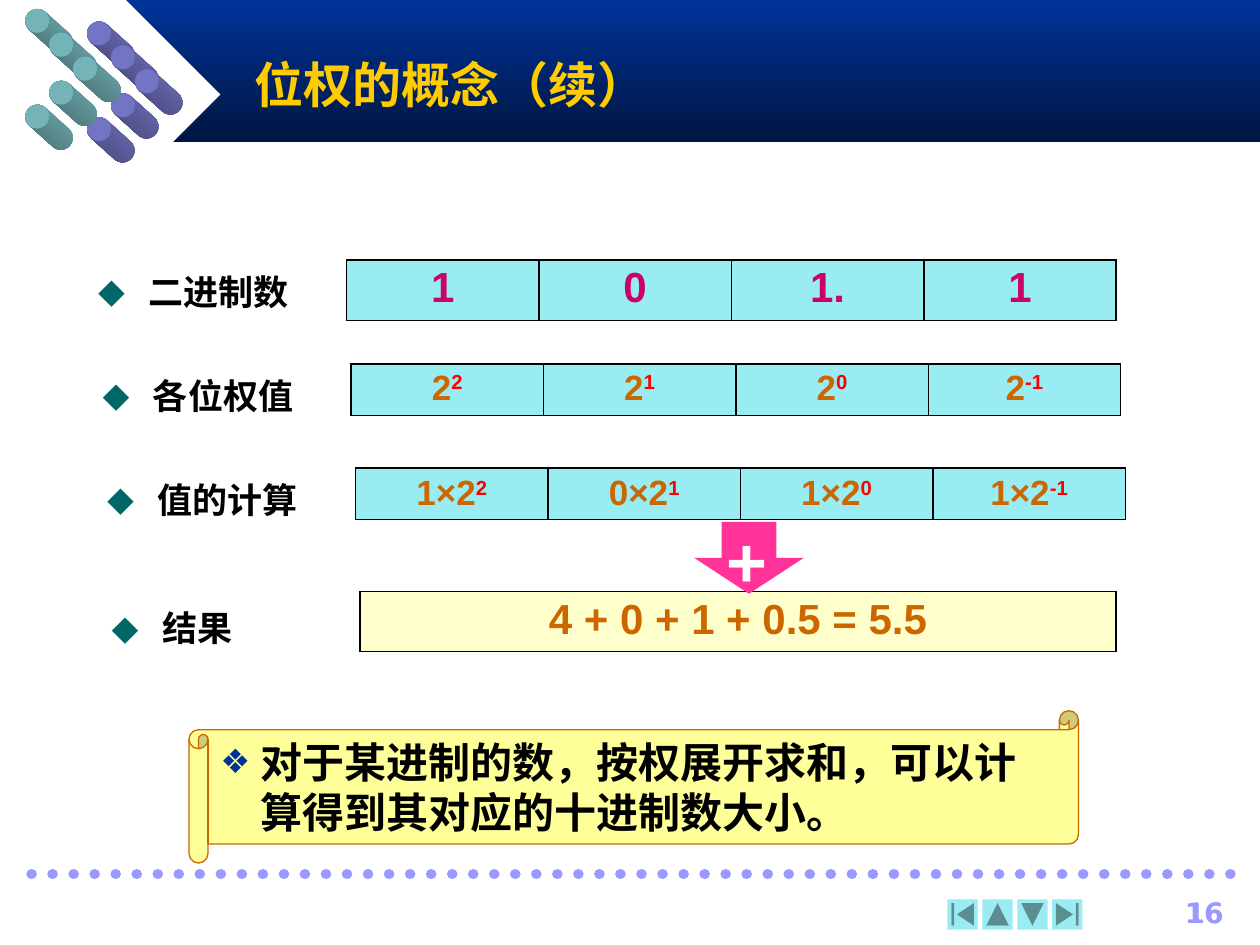
from lxml import etree
from pptx import Presentation
from pptx import util as u
from pptx.dml.color import RGBColor
from pptx.enum import dml, shapes, text
from pptx.oxml import ns

WIDTH, HEIGHT = 10, 7.5
AQUA, LILAC, ORANGE, RED = "98ECF2", "9999FF", "CC6600", "FF0000"
SHAPE = shapes.MSO_SHAPE


def colour(value):
    return RGBColor.from_string(value)


def element(parent, tag, **attributes):
    return etree.SubElement(parent, ns.qn(tag), attributes)


def add_figure(page, kind, left, top, width, height, fill, line=None, rotation=0):
    """Add a preset shape; a pair of fill colours makes a downward gradient."""
    figure = page.shapes.add_shape(kind, *map(u.Inches, (left, top, width, height)))
    figure.shadow.inherit = False
    figure.rotation = rotation
    if isinstance(fill, tuple):
        figure.fill.gradient()
        figure.fill.gradient_angle = 270
        for stop, value in zip(figure.fill.gradient_stops, fill):
            stop.color.rgb = colour(value)
    else:
        figure.fill.solid()
        figure.fill.fore_color.rgb = colour(fill)
    if line:
        figure.line.color.rgb = colour(line)
        figure.line.width = u.Pt(0.75)
    else:
        figure.line.fill.background()
    return figure


def add_bullet(para, mark, mark_colour, percent, indent):
    properties = para._p.get_or_add_pPr()
    properties.set("marL", str(u.Inches(indent)))
    properties.set("indent", str(-u.Inches(indent)))
    element(element(properties, "a:buClr"), "a:srgbClr", val=mark_colour)
    element(properties, "a:buSzPct", val=str(percent * 1000))
    element(properties, "a:buFont", typeface="DejaVu Sans")
    element(properties, "a:buChar", char=mark)


def write(frame, words, size, ink, font="Arial", bold=True, align=text.PP_ALIGN.LEFT,
          anchor=None, spacing=None, bullet=None, power=None):
    """Fill a text frame with one paragraph and an optional red exponent."""
    frame.word_wrap = True
    if anchor is not None:
        frame.vertical_anchor = anchor
    para = frame.paragraphs[0]
    if bullet:
        add_bullet(para, *bullet)
    para.alignment = align
    if spacing:
        para.line_spacing = spacing
    for part, part_colour in ((words, ink), (power, RED)):
        if part is None:
            continue
        span = para.add_run()
        span.text = part
        span.font.size, span.font.bold, span.font.name = u.Pt(size), bold, font
        span.font.color.rgb = colour(part_colour)
        if part_colour == RED:
            span._r.get_or_add_rPr().set("baseline", "30000")


def add_words(page, left, top, width, height, words, size, ink, **style):
    box = page.shapes.add_textbox(*map(u.Inches, (left, top, width, height)))
    write(box.text_frame, words, size, ink, **style)


def cylinder_chain(page, left, top, face, shade):
    """Five slanted cylinders on an arrow-shaped path pointing right."""
    size, step, length, reach = 0.19, 0.19, 0.44, (0.19, 0.17)
    for row, column in enumerate((0, 1, 2, 1, 0)):
        x, y = left + column * step, top + row * step
        body = add_figure(page, SHAPE.ROUNDED_RECTANGLE,
                          x + (size + reach[0] - length) / 2, y + reach[1] / 2,
                          length, size, (face, shade), rotation=42)
        body.adjustments[0] = 0.5
        add_figure(page, SHAPE.OVAL, x, y, size, size, face)


def header(page, left, top, width, height):
    add_figure(page, SHAPE.RECTANGLE, left + 1, top, width - 1, height, ("003399", "001642"))
    add_figure(page, SHAPE.DIAMOND, left + 0.25, top, 1.5, 1.5, "FFFFFF")
    cylinder_chain(page, left + 0.69, top + 0.17, "7474C4", "40406C")
    cylinder_chain(page, left + 0.2, top + 0.07, "74B4B8", "406468")
    # Title, brought in front of the banner
    title = page.shapes.title
    title.left, title.top, title.width, title.height = map(
        u.Inches, (left + 1.92, top + 0.33, 7.5, 0.67))
    write(title.text_frame, "位权的概念（续）", 28, "FFCC00", anchor=text.MSO_ANCHOR.MIDDLE)
    title._element.getparent().append(title._element)


def footer(page, left, top, width):
    # Dotted rule
    rule = page.shapes.add_connector(shapes.MSO_CONNECTOR.STRAIGHT, *map(
        u.Inches, (left, top, left + width, top)))
    rule.line.color.rgb = colour(LILAC)
    rule.line.width = u.Pt(6)
    rule.line.dash_style = dml.MSO_LINE.ROUND_DOT
    rule.line._get_or_add_ln().set("cap", "rnd")
    element(rule._element.spPr, "a:effectLst")
    # Navigation buttons
    buttons = ((SHAPE.ACTION_BUTTON_BEGINNING, 0), (SHAPE.ACTION_BUTTON_BACK_OR_PREVIOUS, 90),
               (SHAPE.ACTION_BUTTON_FORWARD_OR_NEXT, 90), (SHAPE.ACTION_BUTTON_END, 0))
    for column, (kind, rotation) in enumerate(buttons):
        add_figure(page, kind, left + 7.27 + column * 0.277, top + 0.2, 0.24, 0.24,
                   AQUA, rotation=rotation)
    # Page number, plain and bold
    for bold in (False, True):
        add_words(page, left + 8.61, top + 0.12, 0.95, 0.33, "16", 16, LILAC,
                  font="DejaVu Sans", bold=bold, align=text.PP_ALIGN.RIGHT)


def add_border(cell):
    properties = cell._tc.get_or_add_tcPr()
    for place, side in enumerate(("a:lnL", "a:lnR", "a:lnT", "a:lnB")):
        line = etree.Element(ns.qn(side), w=str(u.Pt(1)))
        element(element(line, "a:solidFill"), "a:srgbClr", val="000000")
        properties.insert(place, line)


def labelled_row(page, left, top, width, height, label, cells, size, ink, fill,
                 drop=0.25, spacing=0.9):
    """A bulleted label followed by a one-row table."""
    add_words(page, left, top + drop - 0.2, 2.07, 0.4, label, 20, "000000",
              anchor=text.MSO_ANCHOR.MIDDLE, bullet=("⬥", "006666", 110, 0.4))
    table = page.shapes.add_table(1, len(cells), *map(
        u.Inches, (left + 2.07, top, width, height))).table
    table.first_row = table.horz_banding = False
    for cell, (words, power) in zip(table.iter_cells(), cells):
        cell.fill.solid()
        cell.fill.fore_color.rgb = colour(fill)
        cell.margin_top = cell.margin_bottom = u.Inches(0.03)
        cell.vertical_anchor = text.MSO_ANCHOR.MIDDLE
        add_border(cell)
        write(cell.text_frame, words, size, ink, power=power,
              align=text.PP_ALIGN.CENTER, spacing=spacing)


def calculation(page, left, top):
    digits, powers = ("1", "0", "1", "1"), ("2", "1", "0", "-1")
    pitch, shift, width = 0.825, 0.036, 6.11
    shown = [("1", None), ("0", None), ("1.", None), ("1", None)]
    weights = [("2", power) for power in powers]
    products = [(f"{digit}×2", power) for digit, power in zip(digits, powers)]
    rows = (("二进制数", shown, 0.48, 24, "CC0066", 0.9),
            ("各位权值", weights, 0.41, 20, ORANGE, 0.9),
            ("值的计算", products, 0.41, 20, ORANGE, None))
    for index, (label, cells, height, size, ink, spacing) in enumerate(rows):
        labelled_row(page, left + index * shift, top + index * pitch, width, height,
                     label, cells, size, ink, AQUA, spacing=spacing)
    labelled_row(page, left + 3 * shift, top + 2.63, 6, 0.48, "结果",
                 [("4 + 0 + 1 + 0.5 = 5.5", None)], 24, ORANGE, "FFFFCC", drop=0.29)
    # Sum arrow
    add_figure(page, SHAPE.DOWN_ARROW, left + 4.83, top + 2.08, 0.87, 0.57, "FF3399")
    add_words(page, left + 4.99, top + 1.93, 0.67, 0.75, "+", 40, "FFFFFF", spacing=1.1)


def conclusion(page, left, top, width, height):
    scroll = add_figure(page, SHAPE.HORIZONTAL_SCROLL, left, top, width, height,
                        "FFFF99", line=ORANGE)
    write(scroll.text_frame, "对于某进制的数，按权展开求和，可以计算得到其对应的十进制数大小。",
          24, "000000", anchor=text.MSO_ANCHOR.MIDDLE, bullet=("❖", "003399", 80, 0.32))


def main():
    deck = Presentation()
    deck.slide_width, deck.slide_height = u.Inches(WIDTH), u.Inches(HEIGHT)
    page = deck.slides.add_slide(deck.slide_layouts[5])
    header(page, 0, 0, WIDTH, HEIGHT * 0.15)
    footer(page, WIDTH * 0.025, HEIGHT * 0.925, 9.58)
    calculation(page, WIDTH * 0.068, HEIGHT * 0.275)
    conclusion(page, WIDTH * 0.15, HEIGHT * 0.752, 7.06, 1.21)
    deck.save("out.pptx")


if __name__ == "__main__":
    main()
